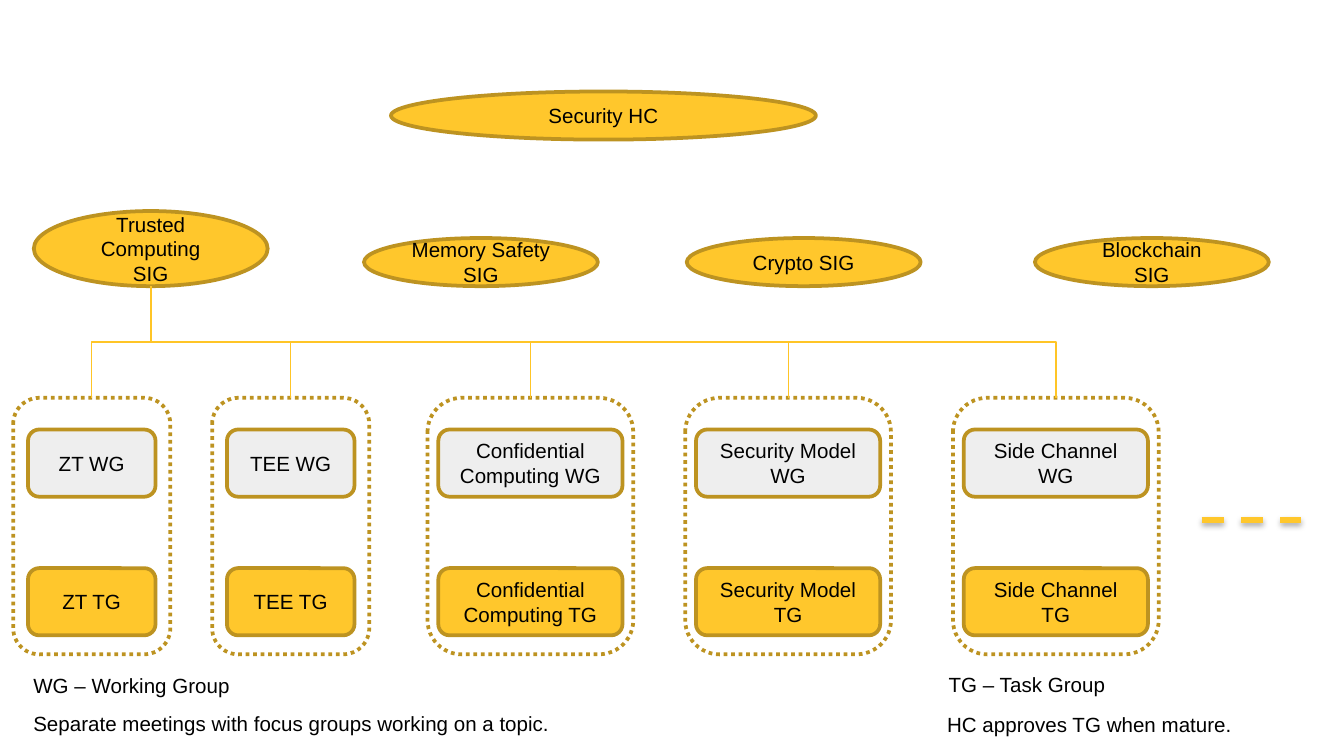
from lxml import etree
from pptx import Presentation
from pptx.dml.color import RGBColor
from pptx.enum.dml import MSO_LINE
from pptx.enum.shapes import MSO_CONNECTOR, MSO_SHAPE
from pptx.enum.text import MSO_ANCHOR, MSO_AUTO_SIZE, PP_ALIGN
from pptx.oxml.ns import qn
from pptx.util import Cm, Pt

OVAL, ROUND = MSO_SHAPE.OVAL, MSO_SHAPE.ROUNDED_RECTANGLE
ELBOW, STRAIGHT = MSO_CONNECTOR.ELBOW, MSO_CONNECTOR.STRAIGHT
DOT, DASH = MSO_LINE.ROUND_DOT, MSO_LINE.DASH
MIDDLE, CENTER = MSO_ANCHOR.MIDDLE, PP_ALIGN.CENTER
GROW = MSO_AUTO_SIZE.SHAPE_TO_FIT_TEXT

COLORS = {
    "gold": "FFC72C",
    "edge": "BD9321",
    "gray": "EEEEEE",
    "link": "FFC526",
    "text": "000000",
}

SIGS = [
    ("Trusted Computing SIG", (0.64, 3.99, 4.42, 1.42)),
    ("Memory Safety SIG", (6.88, 4.5, 4.42, 0.91)),
    ("Crypto SIG", (12.98, 4.5, 4.42, 0.91)),
    ("Blockchain SIG", (19.56, 4.5, 4.42, 0.91)),
]
SMALL, LARGE = (2.97, 2.41), (3.89, 3.48)
TEAMS = [
    ("ZT", 0.25, SMALL),
    ("TEE", 4.01, SMALL),
    ("Confidential Computing", 8.08, LARGE),
    ("Security Model", 12.95, LARGE),
    ("Side Channel", 18.01, LARGE),
]
NOTES = [
    ("WG – Working Group", (0.38, 12.6, 9.7, 0.74)),
    ("TG – Task Group", (17.68, 12.57, 5.16, 0.74)),
    ("Separate meetings with focus groups working on a topic.", (0.38, 13.31, 14.4, 0.74)),
    ("HC approves TG when mature.", (17.65, 13.34, 7.39, 0.74)),
]


def paint(name):
    return RGBColor.from_string(COLORS[name])


def write(frame, text):
    frame.word_wrap = True
    para = frame.paragraphs[0]
    para.text = text
    para.font.name = "Arial"
    para.font.size = Pt(11)
    para.font.color.rgb = paint("text")
    return para


def add_node(slide, kind, box, text="", fill=None):
    node = slide.shapes.add_shape(kind, *map(Cm, box))
    node.shadow.inherit = False
    node.line.color.rgb = paint("edge")
    node.line.width = Pt(2)
    if fill:
        node.fill.solid()
        node.fill.fore_color.rgb = paint(fill)
    else:
        node.fill.background()
    if text:
        node.text_frame.vertical_anchor = MIDDLE
        write(node.text_frame, text).alignment = CENTER
    return node


def add_team(slide, name, box, card):
    left, top, width, height = box
    frame = add_node(slide, ROUND, box)
    frame.line.dash_style = DOT
    inset = left + (width - card) / 2
    for kind, drop, fill in (("WG", 0.6, "gray"), ("TG", 3.22, "gold")):
        add_node(slide, ROUND, (inset, top + drop, card, 1.27), f"{name} {kind}", fill)
    return frame


def add_line(slide, kind, ends, color, width):
    line = slide.shapes.add_connector(kind, *ends)
    line.line.color.rgb = paint(color)
    line.line.width = Pt(width)
    etree.SubElement(line._element.spPr, qn("a:effectLst"))
    return line


def add_branch(slide, root, frame):
    x1, y1 = root.left + root.width // 2, root.top + root.height
    x2, y2 = frame.left + frame.width // 2, frame.top
    line = add_line(slide, ELBOW, (x1, y1, x2, y2), "link", 0.75)
    drop, span = y2 - y1, abs(x2 - x1)
    line.left, line.top = (x1 + x2 - drop) // 2, (y1 + y2 - span) // 2
    line.width, line.height = drop, span
    xfrm = line._element.spPr.find(qn("a:xfrm"))
    xfrm.attrib.pop("flipH", None)
    if x2 < x1:
        xfrm.set("rot", "5400000")
    else:
        xfrm.set("rot", "16200000")
        xfrm.set("flipH", "1")


def add_more(slide, left, top, width):
    line = add_line(slide, STRAIGHT, map(Cm, (left, top, left + width, top)), "gold", 3)
    line.line.dash_style = DASH
    effects = line._element.spPr.find(qn("a:effectLst"))
    shade = etree.SubElement(
        effects, qn("a:outerShdw"), blurRad=str(Pt(3.1)), dist=str(Pt(1.8)),
        dir="5400000", algn="t", rotWithShape="0")
    color = etree.SubElement(shade, qn("a:srgbClr"), val=COLORS["text"])
    etree.SubElement(color, qn("a:alpha"), val="35000")


def add_note(slide, text, box):
    note = slide.shapes.add_textbox(*map(Cm, box))
    write(note.text_frame, text)
    note.text_frame.auto_size = GROW


def main():
    deck = Presentation()
    deck.slide_width, deck.slide_height = Cm(25.4), Cm(14.29)
    slide = deck.slides.add_slide(deck.slide_layouts[6])
    add_node(slide, OVAL, (7.39, 1.73, 8.03, 0.91), "Security HC", "gold")
    sigs = [add_node(slide, OVAL, box, text, "gold") for text, box in SIGS]
    for name, left, (width, card) in TEAMS:
        frame = add_team(slide, name, (left, 7.52, width, 4.85), card)
        add_branch(slide, sigs[0], frame)
    add_more(slide, 22.71, 9.83, 1.88)
    for text, box in NOTES:
        add_note(slide, text, box)
    deck.save("out.pptx")


if __name__ == "__main__":
    main()
